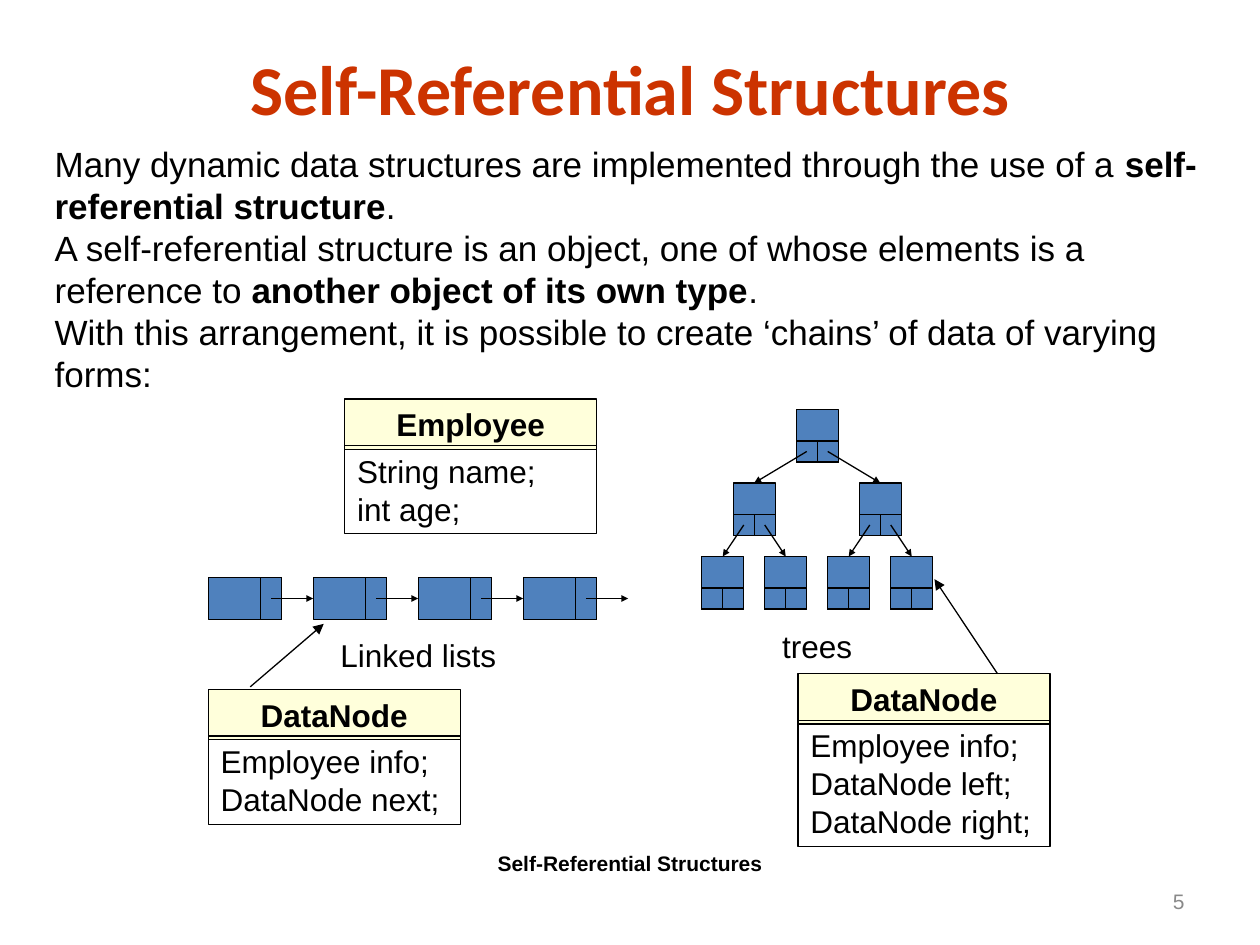
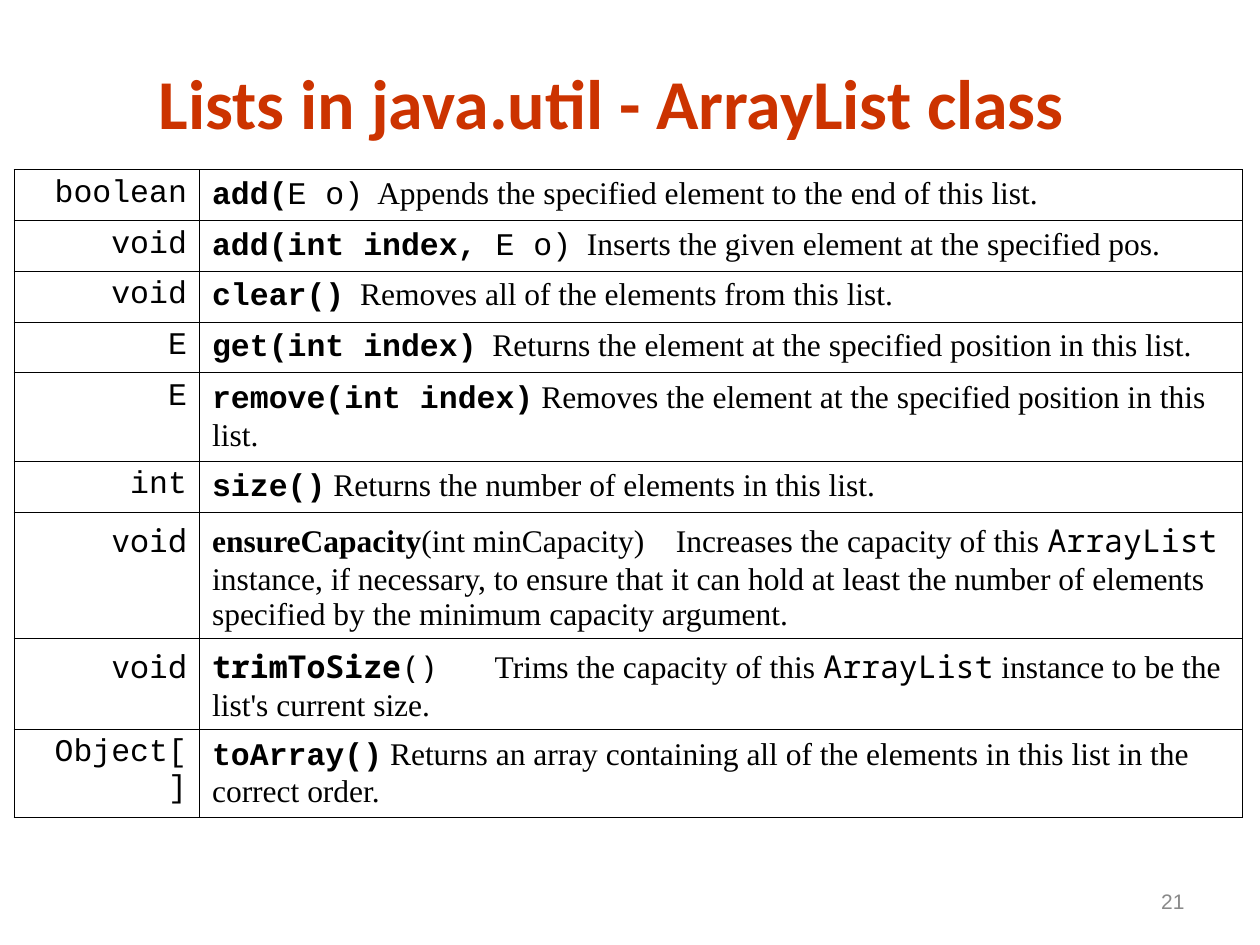
from dataclasses import dataclass
from typing import NamedTuple

from lxml.etree import SubElement
from pptx import Presentation
from pptx.dml.color import RGBColor
from pptx.enum.shapes import MSO_CONNECTOR, MSO_SHAPE
from pptx.enum.text import MSO_ANCHOR, MSO_AUTO_SIZE, PP_ALIGN
from pptx.oxml.ns import qn
from pptx.util import Pt

TITLE_RED, BLACK, WHITE = "CC3300", "000000", "FFFFFF"
NODE_BLUE, HEADER_YELLOW, NUMBER_GREY = "4F81BD", "FFFF99", "898989"
SANS, SERIF, MONO, CODE = "Arial", "Times New Roman", "Courier New", "Noto Sans Mono"
LINE_FACTOR = 1.2
TEXT_INSETS = 7.2


class Span(NamedTuple):
    text: str
    bold: bool = False
    font: str = SANS


class Area(NamedTuple):
    left: float
    top: float
    width: float
    height: float


@dataclass
class Card:
    name: str
    fields: list[str]
    left: float
    top: float


@dataclass
class Method:
    returns: str
    spans: list[Span]
    height: float
    returns_font: str = MONO
    tab_stop: float = 0


INTRODUCTION = [
    [Span("Many dynamic data structures are implemented through the use of a "),
     Span("self-referential structure", True), Span(".")],
    [Span("A self-referential structure is an object, one of whose elements is a reference to "),
     Span("another object of its own type", True), Span(".")],
    [Span("With this arrangement, it is possible to create ‘chains’ of data of varying forms:")],
]
CARDS = [
    Card("Employee", ["String name;", "int age;"], 197, 228),
    Card("DataNode", ["Employee info;", "DataNode next;"], 119, 394),
    Card("DataNode", ["Employee info;", "DataNode left;", "DataNode right;"], 456, 385),
]
METHODS = [
    Method("boolean", [Span("add(", True, MONO), Span("E o)", False, MONO),
                       Span("  Appends the specified element to the end of this list.", False, SERIF)], 29),
    Method("void", [Span("add(int index, ", True, MONO), Span("E o)", False, MONO),
                    Span("  Inserts the given element at the specified pos.", False, SERIF)], 29),
    Method("void", [Span("clear()", True, MONO),
                    Span("  Removes all of the elements from this list.", False, SERIF)], 29),
    Method("E", [Span("get(int index)", True, MONO),
                 Span("  Returns the element at the specified position in this list.", False, SERIF)], 29),
    Method("E", [Span("remove(int index)", True, MONO),
                 Span(" Removes the element at the specified position in this list.", False, SERIF)], 50.5),
    Method("int", [Span("size()", True, MONO),
                   Span(" Returns the number of elements in this list.", False, SERIF)], 29.5),
    Method("void", [Span("ensureCapacity", True, SERIF),
                    Span("(int minCapacity)\tIncreases the capacity of this ", False, SERIF),
                    Span("ArrayList", False, CODE),
                    Span(" instance, if necessary, to ensure that it can hold at least the number"
                         " of elements specified by the minimum capacity argument.", False, SERIF)],
           72, CODE, 265),
    Method("void", [Span("trimToSize", True, CODE), Span("()", False, CODE),
                    Span("\tTrims the capacity of this ", False, SERIF), Span("ArrayList", False, CODE),
                    Span(" instance to be the list's current size.", False, SERIF)], 50.5, CODE, 161.5),
    Method("Object[]", [Span("toArray()", True, MONO),
                        Span(" Returns an array containing all of the elements in this list in the"
                             " correct order.", False, SERIF)], 50.5),
]


def rgb(value: str) -> RGBColor:
    """Turn a hex string into a colour."""
    return RGBColor.from_string(value)


def write(para, text: str, *, size: float = 18, font: str = SANS,
          bold: bool = False, color: str = BLACK) -> None:
    """Add one formatted span of text to a paragraph."""
    span = para.add_run()
    span.text = text
    span.font.size = Pt(size)
    span.font.name = font
    span.font.bold = bold
    span.font.color.rgb = rgb(color)


def place(shape, area: Area) -> None:
    """Move and size a shape."""
    shape.left, shape.top, shape.width, shape.height = (Pt(length) for length in area)


def write_lines(shape, lines: list[list[Span]], *, size: float = 18, color: str = BLACK,
                align: PP_ALIGN = PP_ALIGN.LEFT, anchor: MSO_ANCHOR = MSO_ANCHOR.TOP) -> None:
    """Fill a shape with one paragraph per line of spans."""
    frame = shape.text_frame
    frame.word_wrap = True
    frame.auto_size = MSO_AUTO_SIZE.NONE
    frame.vertical_anchor = anchor
    for index, spans in enumerate(lines):
        para = frame.add_paragraph() if index else frame.paragraphs[0]
        para.alignment = align
        para.space_before = Pt(0)
        para.line_spacing = Pt(size * LINE_FACTOR)
        for span in spans:
            write(para, span.text, size=size, font=span.font, bold=span.bold, color=color)


def add_title(page, text: str, area: Area) -> None:
    """Format the title placeholder."""
    title = page.shapes.title
    place(title, area)
    title.text_frame.auto_size = MSO_AUTO_SIZE.NONE
    title.text_frame.vertical_anchor = MSO_ANCHOR.MIDDLE
    para = title.text_frame.paragraphs[0]
    para.alignment = PP_ALIGN.CENTER
    write(para, text, size=40, font="Calibri", bold=True, color=TITLE_RED)


def add_label(page, text: str, area: Area, *, size: float = 18, bold: bool = False,
              color: str = BLACK, align: PP_ALIGN = PP_ALIGN.CENTER,
              anchor: MSO_ANCHOR = MSO_ANCHOR.TOP) -> None:
    """Add a text box with one line."""
    box = page.shapes.add_textbox(*(Pt(length) for length in area))
    write_lines(box, [[Span(text, bold)]], size=size, color=color, align=align, anchor=anchor)


def add_page_number(page, number: int) -> None:
    """Add the grey number at the bottom right."""
    add_label(page, str(number), Area(516, 500.5, 168, 28.8), size=12, color=NUMBER_GREY,
              align=PP_ALIGN.RIGHT, anchor=MSO_ANCHOR.MIDDLE)


def add_box(page, area: Area, *, fill: str = "", opacity: int = 100, outlined: bool = True):
    """Add a rectangle with an optional fill and outline."""
    box = page.shapes.add_shape(MSO_SHAPE.RECTANGLE, *(Pt(length) for length in area))
    box.shadow.inherit = False
    if fill:
        box.fill.solid()
        box.fill.fore_color.rgb = rgb(fill)
        if opacity < 100:
            tint = box.fill._xPr.find(qn("a:solidFill"))[0]
            SubElement(tint, qn("a:alpha"), val=str(opacity * 1000))
    else:
        box.fill.background()
    if outlined:
        box.line.color.rgb = rgb(BLACK)
        box.line.width = Pt(0.75)
    else:
        box.line.fill.background()
    return box


def add_arrow(page, start: tuple[float, float], end: tuple[float, float], head: str = "sm") -> None:
    """Add a thin line with a triangular head at its end."""
    arrow = page.shapes.add_connector(MSO_CONNECTOR.STRAIGHT, *(Pt(length) for length in start + end))
    arrow.line.color.rgb = rgb(BLACK)
    arrow.line.width = Pt(0.75)
    SubElement(arrow.line._get_or_add_ln(), qn("a:tailEnd"), type="triangle", w=head, len=head)
    SubElement(arrow._element.spPr, qn("a:effectLst"))


def add_card(page, card: Card) -> None:
    """Add a class card with a tinted header and its fields."""
    header = Area(card.left, card.top, 144, 28.8)
    add_box(page, header, fill=HEADER_YELLOW, opacity=35, outlined=False)
    write_lines(add_box(page, header), [[Span(card.name, True)]], align=PP_ALIGN.CENTER)
    height = TEXT_INSETS + 18 * LINE_FACTOR * len(card.fields)
    fields = add_box(page, Area(card.left, card.top + 26.6, 144, height))
    write_lines(fields, [[Span(field)] for field in card.fields])


def add_linked_list(page, left: float = 119, top: float = 330, count: int = 4) -> None:
    """Add a chain of nodes, each pointing to the next."""
    step = 60
    for node_left in (left + step * index for index in range(count)):
        add_box(page, Area(node_left, top, 42, 24), fill=NODE_BLUE)
        add_box(page, Area(node_left + 30, top, 12, 24), fill=NODE_BLUE)
        add_arrow(page, (node_left + 36, top + 12), (node_left + step, top + 12))


def add_tree(page, left: float = 455, top: float = 234, levels: int = 3) -> None:
    """Add a binary tree whose nodes point to their two children."""
    def corner(level: int, index: int) -> tuple[float, float]:
        """Find the top left corner of a node."""
        count = 2 ** level
        return left + (index - (count - 1) / 2) * 144 / count, top + 42 * level

    nodes = [(level, index) for level in range(levels) for index in range(2 ** level)]
    for node_left, node_top in (corner(*node) for node in nodes):
        add_box(page, Area(node_left, node_top, 24, 30), fill=NODE_BLUE)
        for side in range(2):
            add_box(page, Area(node_left + 12 * side, node_top + 18, 12, 12), fill=NODE_BLUE)
    for level, index in nodes[1:]:
        parent_left, parent_top = corner(level - 1, index // 2)
        child_left, child_top = corner(level, index)
        add_arrow(page, (parent_left + 6 + 12 * (index % 2), parent_top + 24), (child_left + 12, child_top))


def format_cell(cell, anchor: MSO_ANCHOR) -> None:
    """Give a table cell thin black borders and a white fill."""
    properties = cell._tc.get_or_add_tcPr()
    for edge in ("a:lnL", "a:lnR", "a:lnT", "a:lnB"):
        line = SubElement(properties, qn(edge), w=str(Pt(0.34)))
        SubElement(SubElement(line, qn("a:solidFill")), qn("a:srgbClr"), val=BLACK)
    cell.fill.solid()
    cell.fill.fore_color.rgb = rgb(WHITE)
    cell.vertical_anchor = anchor
    cell.margin_left = cell.margin_right = Pt(7.2)
    cell.margin_top = cell.margin_bottom = Pt(3.6)


def add_method_table(page, methods: list[Method]) -> None:
    """Add the table of return types and method descriptions."""
    height = sum(method.height for method in methods)
    table = page.shapes.add_table(len(methods), 2, Pt(8), Pt(97), Pt(702), Pt(height)).table
    table.first_row = table.horz_banding = False
    for column, width in zip(table.columns, (106, 596)):
        column.width = Pt(width)
    for row, method in zip(table.rows, methods):
        row.height = Pt(method.height)
        returns, description = row.cells
        format_cell(returns, MSO_ANCHOR.TOP)
        format_cell(description, MSO_ANCHOR.MIDDLE)
        returns.margin_left = Pt(14)
        para = returns.text_frame.paragraphs[0]
        para.alignment = PP_ALIGN.RIGHT
        write(para, method.returns, font=method.returns_font)
        para = description.text_frame.paragraphs[0]
        if method.tab_stop:
            stops = SubElement(para._p.get_or_add_pPr(), qn("a:tabLst"))
            SubElement(stops, qn("a:tab"), pos=str(Pt(method.tab_stop)), algn="l")
        for span in method.spans:
            write(para, span.text, font=span.font, bold=span.bold)


def build_structures(deck) -> None:
    """Build the slide on self-referential structures."""
    page = deck.slides.add_slide(deck.slide_layouts[1])
    add_title(page, "Self-Referential Structures", Area(36, 22.5, 648, 55.5))
    body = page.placeholders[1]
    place(body, Area(24, 78, 672, 151.2))
    write_lines(body, INTRODUCTION, size=20)
    for para in body.text_frame.paragraphs:
        properties = para._p.get_or_add_pPr()
        properties.set("marL", "0")
        properties.set("indent", "0")
        SubElement(properties, qn("a:buNone"))
    add_tree(page)
    add_label(page, "trees", Area(401, 355, 132, 28.8))
    add_linked_list(page)
    add_label(page, "Linked lists", Area(119, 360, 240, 28.8))
    for card in CARDS:
        add_card(page, card)
    add_arrow(page, (143, 392.5), (185, 356.5), head="med")
    add_arrow(page, (570, 385), (534, 331), head="med")
    add_label(page, "Self-Referential Structures", Area(276, 482.5, 168, 21.6), size=12, bold=True)
    add_page_number(page, 5)


def build_array_list(deck) -> None:
    """Build the slide on the ArrayList class."""
    page = deck.slides.add_slide(deck.slide_layouts[5])
    add_title(page, "Lists in java.util - ArrayList class ", Area(0, 30, 708, 55.5))
    add_method_table(page, METHODS)
    add_page_number(page, 21)


def main() -> None:
    """Build and save the deck."""
    deck = Presentation()
    deck.slide_width, deck.slide_height = Pt(720), Pt(540)
    build_structures(deck)
    build_array_list(deck)
    deck.save("out.pptx")


if __name__ == "__main__":
    main()
